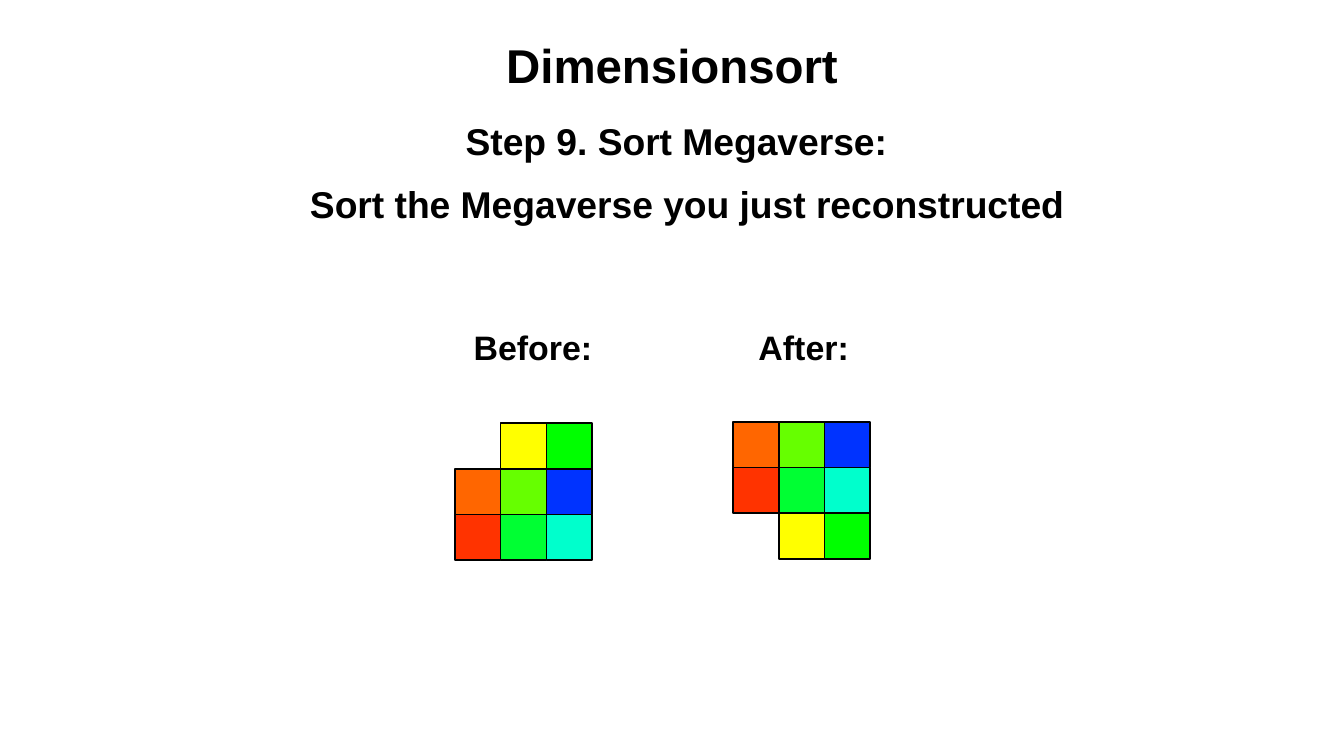
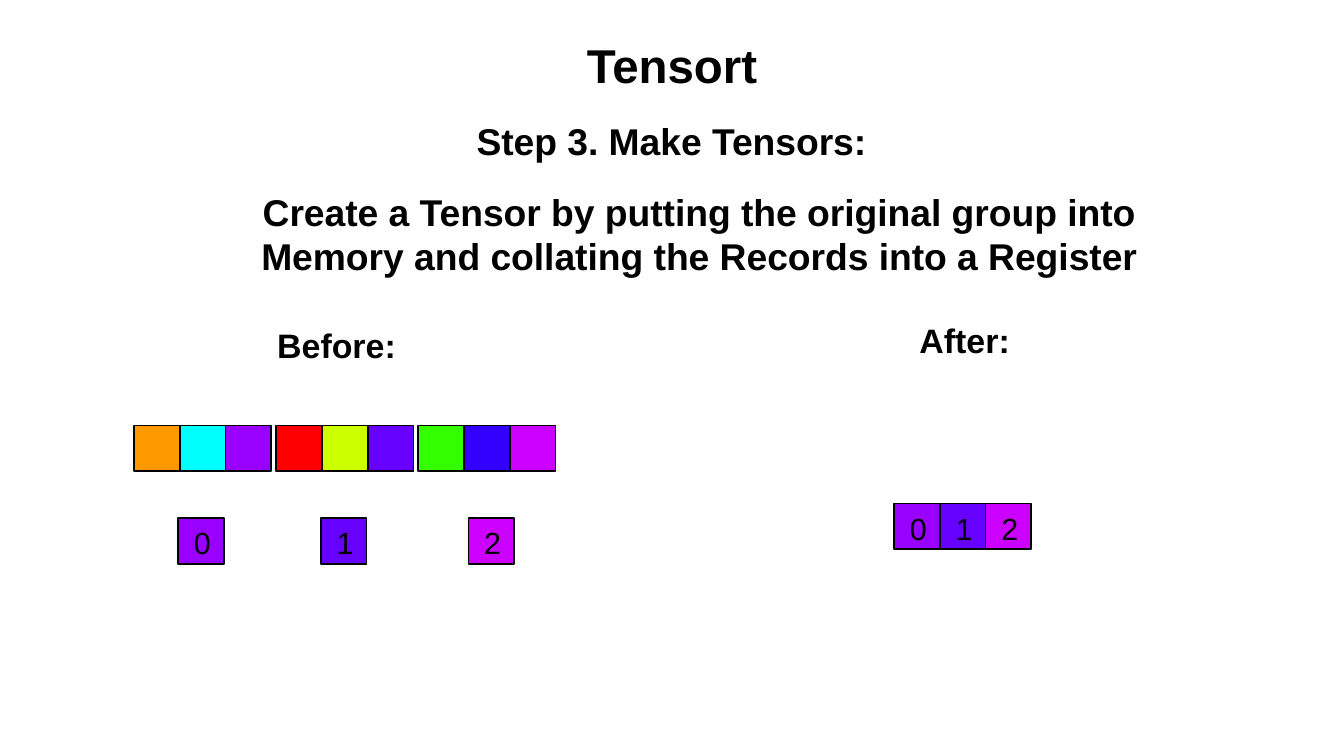
"""Build two slides that show steps of sorting algorithms as coloured cells."""
from dataclasses import dataclass

from pptx import Presentation
from pptx import util as u
from pptx.dml.color import RGBColor
from pptx.enum import shapes, text

COLORS = {
    "black": "000000", "white": "FFFFFF", "red": "FF0000", "scarlet": "FF3300",
    "orange": "FF6600", "amber": "FF9900", "yellow": "FFFF00", "lime": "CCFF00",
    "leaf": "66FF00", "grass": "33FF00", "green": "00FF00", "emerald": "00FF33",
    "turquoise": "00FFCC", "cyan": "00FFFF", "blue": "0033FF", "indigo": "3300FF",
    "violet": "6600FF", "purple": "9900FF", "magenta": "CC00FF",
}
FONT = "Arial"
CELL = 3 / 8
GROUP_PITCH = 3 * CELL + 0.04
EMPTY = "-"
LEFT, CENTER = text.PP_ALIGN.LEFT, text.PP_ALIGN.CENTER


@dataclass
class Box:
    left: float
    top: float
    width: float
    height: float


@dataclass
class Grid:
    left: float
    top: float
    rows: list[str]
    labels: str = ""


@dataclass
class Step:
    title: str
    heading: str
    heading_box: Box
    detail: str
    detail_box: Box
    before_box: Box
    after_box: Box
    grids: list[Grid]


TITLE_BOX = Box(0.55, 0.01, 9.92, 1.04)
GROUPS = ["amber cyan purple", "red lime violet", "grass indigo magenta"]
RECORDS = [(1.46, "purple"), (2.63, "violet"), (3.84, "magenta")]

STEPS = [
    Step(
        "Dimensionsort",
        "Step 9. Sort Megaverse:", Box(3.72, 0.92, 5.96, 0.78),
        "Sort the Megaverse you just reconstructed", Box(0.76, 1.44, 9.75, 0.44),
        Box(3.41, 2.47, 1.92, 0.75), Box(5.63, 2.47, 1.92, 0.75),
        [
            Grid(3.73, 3.47, ["- yellow green", "orange leaf blue",
                              "scarlet emerald turquoise"]),
            Grid(6.01, 3.46, ["orange leaf blue", "scarlet emerald turquoise",
                              "- yellow green"]),
        ],
    ),
    Step(
        "Tensort",
        "Step 3. Make Tensors:", Box(3.81, 0.92, 5.96, 0.78),
        "Create a Tensor by putting the original group into Memory "
        "and collating the Records into a Register", Box(1.68, 1.5, 8.11, 0.78),
        Box(1.8, 2.45, 1.92, 0.75), Box(6.95, 2.41, 1.92, 0.75),
        [Grid(1.1 + i * GROUP_PITCH, 3.49, [row]) for i, row in enumerate(GROUPS)]
        + [Grid(left, 4.25, [color], str(i)) for i, (left, color) in enumerate(RECORDS)]
        + [Grid(7.33, 4.13, ["purple violet magenta"], "012")],
    ),
]


def rgb(name: str) -> RGBColor:
    return RGBColor.from_string(COLORS[name])


def place(sp, box: Box) -> None:
    sp.left, sp.top = u.Inches(box.left), u.Inches(box.top)
    sp.width, sp.height = u.Inches(box.width), u.Inches(box.height)


def set_insets(tf, left: float, top: float, right: float, bottom: float) -> None:
    tf.margin_left, tf.margin_top = u.Inches(left), u.Inches(top)
    tf.margin_right, tf.margin_bottom = u.Inches(right), u.Inches(bottom)


def write(tf, words: str, size: int, align=CENTER, bold: bool = True) -> None:
    p = tf.paragraphs[0]
    p.text = words
    p.alignment = align
    p.space_before = u.Pt(0)
    p.font.name, p.font.size, p.font.bold = FONT, u.Pt(size), bold
    p.font.color.rgb = rgb("black")


def add_label(sp, box: Box, words: str, size: int) -> None:
    place(sp, box)
    tf = sp.text_frame
    tf.word_wrap = True
    tf.vertical_anchor = text.MSO_ANCHOR.MIDDLE
    set_insets(tf, 0, 0, 0, 0)
    write(tf, words, size)


def new_text_box(s, box: Box):
    return s.shapes.add_textbox(*(u.Inches(v) for v in
                                  (box.left, box.top, box.width, box.height)))


def add_text(s, box: Box, words: str, align) -> None:
    tf = new_text_box(s, box).text_frame
    tf.word_wrap = True
    write(tf, words, 22, align)


def add_cell(s, left: float, top: float, color: str, label: str) -> None:
    sp = s.shapes.add_shape(shapes.MSO_SHAPE.RECTANGLE, u.Inches(left), u.Inches(top),
                            u.Inches(CELL), u.Inches(CELL))
    sp.shadow.inherit = False
    sp.fill.solid()
    sp.fill.fore_color.rgb = rgb(color)
    sp.line.color.rgb = rgb("black")
    sp.line.width = u.Pt(1)
    if label:
        tf = sp.text_frame
        tf.word_wrap = True
        tf.vertical_anchor = text.MSO_ANCHOR.TOP
        set_insets(tf, 0.13, 0.05, 0, 0)
        write(tf, label, 18, LEFT, bold=False)


def add_grid(s, grid: Grid) -> None:
    for r, row in enumerate(grid.rows):
        for c, color in enumerate(row.split()):
            if color != EMPTY:
                add_cell(s, grid.left + c * CELL, grid.top + r * CELL, color,
                         grid.labels[c:c + 1])


def add_step(prs, step: Step) -> None:
    s = prs.slides.add_slide(prs.slide_layouts[0])
    s.background.fill.solid()
    s.background.fill.fore_color.rgb = rgb("white")
    add_label(s.shapes.title, TITLE_BOX, step.title, 28)
    add_label(s.placeholders[1], step.before_box, "Before:", 20)
    add_label(new_text_box(s, step.after_box), step.after_box, "After:", 20)
    add_text(s, step.heading_box, step.heading, LEFT)
    add_text(s, step.detail_box, step.detail, CENTER)
    for grid in step.grids:
        add_grid(s, grid)


def main() -> None:
    prs = Presentation()
    prs.slide_width, prs.slide_height = u.Inches(11.02), u.Inches(6.2)
    for step in STEPS:
        add_step(prs, step)
    prs.save("out.pptx")


if __name__ == "__main__":
    main()
